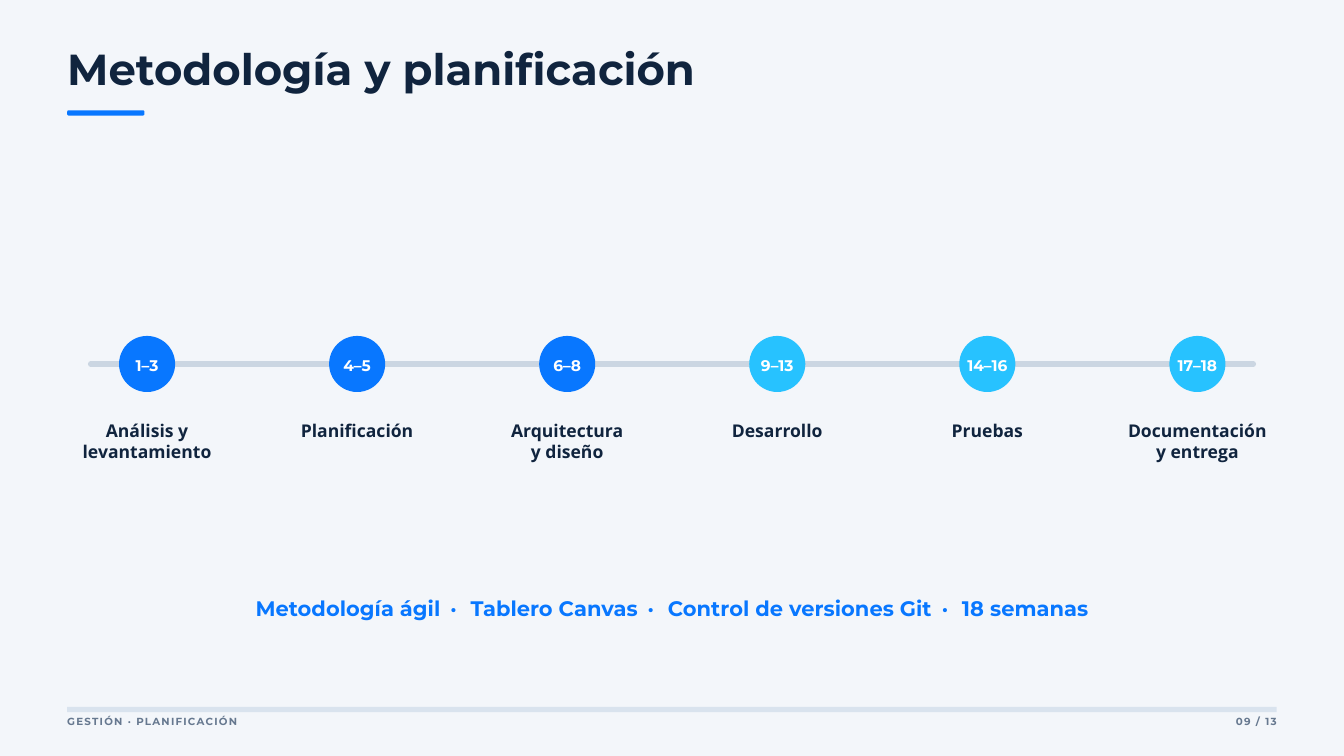
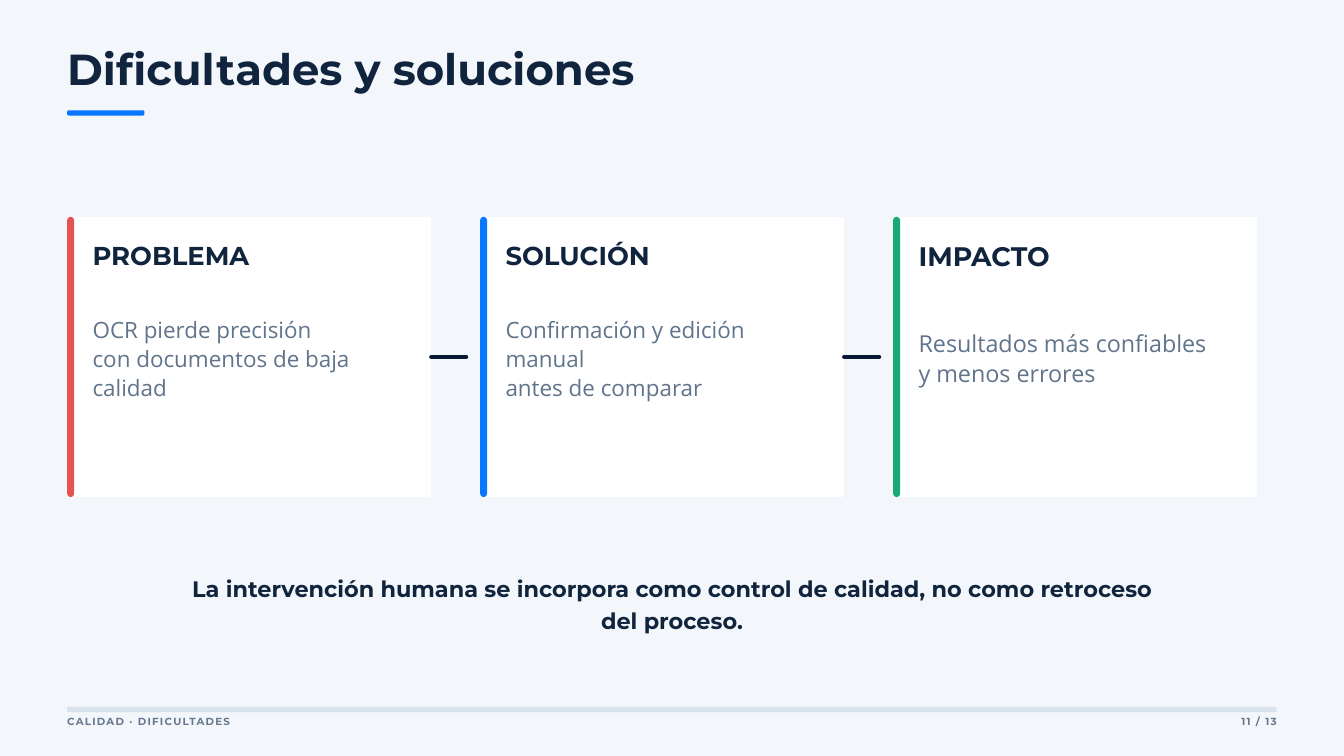
"""Builds two project slides: a six-step timeline and three cards on problems and fixes."""
from pptx import Presentation
from pptx.dml.color import RGBColor
from pptx.enum.shapes import MSO_CONNECTOR, MSO_SHAPE
from pptx.enum.text import MSO_ANCHOR, MSO_AUTO_SIZE, PP_ALIGN
from pptx.oxml.ns import qn
from pptx.util import Cm, Pt
from lxml.etree import SubElement

PAPER = RGBColor(0xF3, 0xF6, 0xFA)
WHITE = RGBColor(0xFF, 0xFF, 0xFF)
NAVY = RGBColor(0x10, 0x24, 0x3E)
INK = RGBColor(0x07, 0x1A, 0x33)
BLUE = RGBColor(0x08, 0x77, 0xFF)
SKY = RGBColor(0x27, 0xC2, 0xFF)
RED = RGBColor(0xE5, 0x54, 0x54)
GREEN = RGBColor(0x19, 0xA9, 0x74)
SLATE = RGBColor(0x60, 0x74, 0x8C)
GREY = RGBColor(0x66, 0x78, 0x8F)
RAIL = RGBColor(0xCB, 0xD6, 0xE2)
BAND = RGBColor(0xD9, 0xE3, 0xEE)

STRONG = {"name": "Montserrat", "bold": True}
LABEL = {"name": "Open Sans", "bold": True}
PLAIN = {"name": "Open Sans", "bold": False}
FRAME = {"margin_left": 0, "margin_top": 0, "margin_right": 0, "margin_bottom": 0,
         "word_wrap": True, "auto_size": MSO_AUTO_SIZE.NONE}
LEFT, MID, RIGHT = PP_ALIGN.LEFT, PP_ALIGN.CENTER, PP_ALIGN.RIGHT
DOT = " · "
EDGE = 2.54


def write(shape, lines, face, size, lead, tint, align=LEFT, anchor=MSO_ANCHOR.TOP, gap=0):
    frame = shape.text_frame
    for key, val in FRAME.items():
        setattr(frame, key, val)
    frame.vertical_anchor = anchor
    for i, line in enumerate(lines):
        para = frame.add_paragraph() if i else frame.paragraphs[0]
        para.alignment = align
        para.line_spacing = Pt(lead)
        for part in line:
            run = para.add_run()
            run.text = part
            for key, val in {**face, "size": Pt(size)}.items():
                setattr(run.font, key, val)
            run.font.color.rgb = tint
            space = 420 if part == DOT else gap
            if space:
                run.font._element.set("spc", str(space))


def draw(slide, kind, box, tint, curve=None):
    shape = slide.shapes.add_shape(kind, *map(Cm, box))
    shape.shadow.inherit = False
    shape.fill.solid()
    shape.fill.fore_color.rgb = tint
    shape.line.fill.background()
    if curve is not None:
        shape.adjustments[0] = curve
    return shape


deck = Presentation()
deck.slide_width, deck.slide_height = Cm(50.8), Cm(28.58)
back = deck.slide_master.background.fill
back.solid()
back.fore_color.rgb = PAPER

pages = [("Metodología y planificación", "GESTIÓN · PLANIFICACIÓN", "09 / 13"),
         ("Dificultades y soluciones", "CALIDAD · DIFICULTADES", "11 / 13")]
for head, foot, page in pages:
    slide = deck.slides.add_slide(deck.slide_layouts[5])
    title = slide.shapes.title
    for key, val in {"left": EDGE, "top": 1.8, "width": 39.67, "height": 1.78}.items():
        setattr(title, key, Cm(val))
    write(title, [[head]], STRONG, 46.5, 50.2, NAVY)
    draw(slide, MSO_SHAPE.ROUNDED_RECTANGLE, (EDGE, 4.17, 2.92, 0.2), BLUE, 0.3)
    draw(slide, MSO_SHAPE.RECTANGLE, (EDGE, 26.72, 45.72, 0.2), BAND)
    for text, left, width, align in [(foot, EDGE, 19.05, LEFT), (page, 43.38, 4.88, RIGHT)]:
        note = slide.shapes.add_textbox(*map(Cm, (left, 26.95, width, 0.53)))
        write(note, [[text]], STRONG, 11, 15.4, GREY, align, gap=130)
plan, fixes = deck.slides

cards = [
    ("PROBLEMA", ["OCR pierde precisión", "con documentos de baja calidad"],
     RED, 27.7, 24, 11.86),
    ("SOLUCIÓN", ["Confirmación y edición manual", "antes de comparar"],
     BLUE, 27.7, 24, 11.86),
    ("IMPACTO", ["Resultados más confiables", "y menos errores"],
     GREEN, 28.7, 25, 12.34)]
wires = [(plan, 3.43, 47.37, 13.76, RAIL, 6)]
for i, (head, body, tint, big, small, top) in enumerate(cards):
    left = EDGE + i * 15.61
    draw(fixes, MSO_SHAPE.ROUNDED_RECTANGLE, (left, 8.2, 13.76, 10.59), WHITE, 0.01)
    draw(fixes, MSO_SHAPE.ROUNDED_RECTANGLE, (left, 8.2, 0.26, 10.59), tint, 0.5)
    name = fixes.shapes.add_textbox(*map(Cm, (left + 0.96, 8.86, 11.91, 1.3)))
    write(name, [[head]], STRONG, big, big * 1.4, NAVY)
    copy = fixes.shapes.add_textbox(*map(Cm, (left + 0.96, top, 11.91, 3.2)))
    write(copy, [[line] for line in body], PLAIN, small, small * 1.3, SLATE)
    if i < len(cards) - 1:
        wires.append((fixes, left + 13.76, left + 15.08, 13.49, INK, 4.5))

for slide, start, end, top, tint, width in wires:
    wire = slide.shapes.add_connector(MSO_CONNECTOR.STRAIGHT, *map(Cm, (start, top, end, top)))
    wire.line.color.rgb = tint
    wire.line.width = Pt(width)
    props = wire._element.spPr
    props.find(qn("a:ln")).set("cap", "rnd")
    SubElement(props, qn("a:effectLst"))

steps = [("1–3", ["Análisis y", "levantamiento"], BLUE),
         ("4–5", ["Planificación"], BLUE),
         ("6–8", ["Arquitectura", "y diseño"], BLUE),
         ("9–13", ["Desarrollo"], SKY),
         ("14–16", ["Pruebas"], SKY),
         ("17–18", ["Documentación", "y entrega"], SKY)]
for i, (weeks, stage, tint) in enumerate(steps):
    axis = 5.56 + i * 7.94
    disc = draw(plan, MSO_SHAPE.OVAL, (axis - 1.06, 12.7, 2.12, 2.12), tint)
    write(disc, [[weeks]], STRONG, 16.5, 23.1, WHITE, MID, MSO_ANCHOR.MIDDLE)
    disc.text_frame.word_wrap = False
    label = plan.shapes.add_textbox(*map(Cm, (axis - 3.05, 15.88, 6.1, 1.58)))
    write(label, [[line] for line in stage], LABEL, 18.8, 22.5, NAVY, MID)

tools = ["Metodología ágil", DOT, "Tablero Canvas", DOT,
         "Control de versiones Git", DOT, "18 semanas"]
moral = ["La intervención humana se incorpora como control de calidad, "
         "no como retroceso del proceso."]
for slide, line, top, high, size, tint in [(plan, tools, 22.35, 1.09, 22.5, BLUE),
                                           (fixes, moral, 21.59, 2.26, 24, NAVY)]:
    close = slide.shapes.add_textbox(*map(Cm, (6.88, top, 37.04, high)))
    write(close, [line], STRONG, size, size * 1.4, tint, MID)

deck.save("out.pptx")
